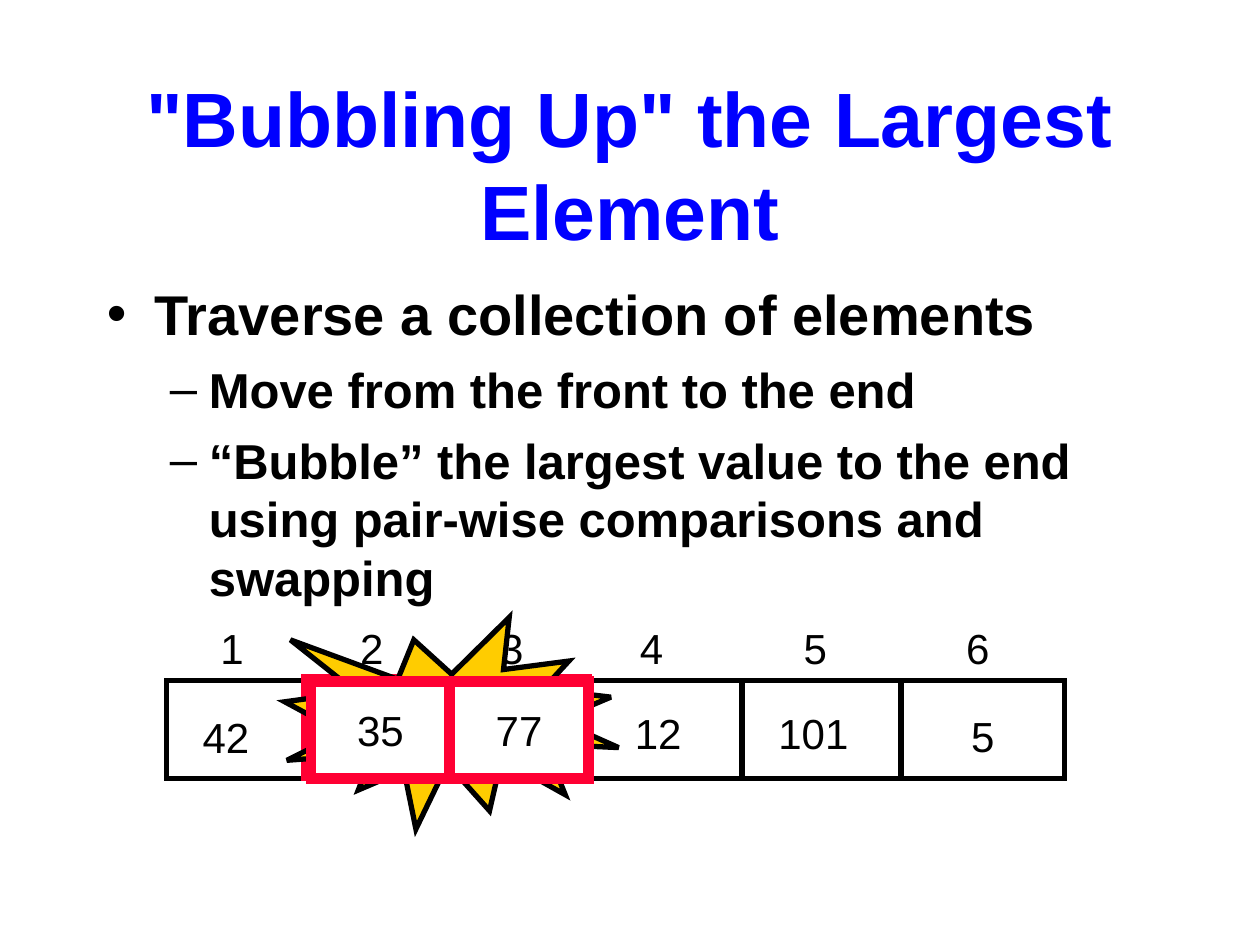
from typing import NamedTuple

from lxml import etree
from pptx import Presentation, util as u
from pptx.dml.color import RGBColor
from pptx.enum import shapes, text
from pptx.oxml import ns

# Grid of 100 columns by 75 rows on a 10 x 7.5 inch slide
UNIT = u.Inches(0.1)
BLACK, BLUE, RED, GOLD, WHITE = "000000", "0000FF", "FF0033", "FFCC00", "FFFFFF"
RECT = shapes.MSO_SHAPE.RECTANGLE


class Box(NamedTuple):
    x: float
    y: float
    w: float
    h: float


class Bullet(NamedTuple):
    words: str
    level: int
    mark: str
    margin: float
    hang: float
    before: int
    size: int


class Value(NamedTuple):
    words: str
    x: float
    y: float
    w: float


ARRAY = Box(13.2, 54, 71.3, 7.8)
DIVIDERS = (24.3, 35.4, 46.8, 58.9, 71.5)
INDEX_TABS = (11.1, 22.2, 33.3, 46.3, 59.2)
PAIR_W, PAIR_H = 11, 7.7
BULLETS = (
    Bullet("Traverse a collection of elements", 0, "•", 3.8, 3.8, 0, 32),
    Bullet("Move from the front to the end", 1, "–", 8.1, 3.1, 7, 28),
    Bullet("“Bubble” the largest value to the end using pair-wise "
           "comparisons and swapping", 1, "–", 8.1, 3.1, 7, 28),
)
VALUES = (
    Value("42", 15.1, 56, 5.7),
    Value("12", 49.4, 55.7, 5.7),
    Value("101", 60.8, 55.7, 7.6),
    Value("5", 76.1, 55.9, 3.9),
)


def grid(n: float) -> int:
    return round(n * UNIT)


def color(value: str) -> RGBColor:
    return RGBColor.from_string(value)


def sub(parent, tag: str, **attrs):
    return etree.SubElement(parent, ns.qn(tag), attrs)


def write(p, words: str, size: int = 24, ink: str = BLACK, bold: bool = False) -> None:
    r = p.add_run()
    r.text = words
    for name, value in dict(name="Arial", size=u.Pt(size), bold=bold).items():
        setattr(r.font, name, value)
    r.font.color.rgb = color(ink)


def add_text(parent, box: Box, wrap: bool = False):
    tf = parent.add_textbox(*map(grid, box)).text_frame
    tf.word_wrap = wrap
    return tf


def add_box(parent, kind, box: Box, line: str, width: float, fill: str = "",
            words: str = "") -> None:
    sp = parent.add_shape(kind, *map(grid, box))
    sp.shadow.inherit = False
    if fill:
        sp.fill.solid()
        sp.fill.fore_color.rgb = color(fill)
    else:
        sp.fill.background()
    sp.line.color.rgb = color(line)
    sp.line.width = u.Pt(width)
    sub(sp.line._get_or_add_ln(), "a:miter", lim="800000")
    if words:
        tf = sp.text_frame
        tf.word_wrap = False
        write(tf.paragraphs[0], words)


def add_divider(parent, x: float) -> None:
    line = parent.add_connector(shapes.MSO_CONNECTOR.STRAIGHT, grid(x), grid(ARRAY.y),
                                grid(x), grid(ARRAY.y + ARRAY.h))
    line.line.color.rgb = color(BLACK)
    line.line.width = u.Pt(3)
    sub(line._element.spPr, "a:effectLst")


def add_bullets(parent, box: Box) -> None:
    tf = add_text(parent, box, wrap=True)
    for i, b in enumerate(BULLETS):
        p = tf.add_paragraph() if i else tf.paragraphs[0]
        p.level = b.level
        p.space_before = u.Pt(b.before)
        pr = p._p.get_or_add_pPr()
        pr.set("marL", str(grid(b.margin)))
        pr.set("indent", str(-grid(b.hang)))
        sub(sub(pr, "a:buClr"), "a:srgbClr", val=BLACK)
        sub(pr, "a:buFont", typeface="Arial")
        sub(pr, "a:buChar", char=b.mark)
        write(p, b.words, b.size, bold=True)


def add_indices(parent, box: Box) -> None:
    p = add_text(parent, box).paragraphs[0]
    tabs = sub(p._p.get_or_add_pPr(), "a:tabLst")
    for stop in INDEX_TABS:
        sub(tabs, "a:tab", pos=str(grid(stop)), algn="l")
    write(p, "\t".join("123456"))


def set_title(title, box: Box, words: str) -> None:
    for name, value in zip(("left", "top", "width", "height"), box):
        setattr(title, name, grid(value))
    tf = title.text_frame
    for name, value in dict(word_wrap=True, auto_size=text.MSO_AUTO_SIZE.NONE,
                            vertical_anchor=text.MSO_ANCHOR.MIDDLE).items():
        setattr(tf, name, value)
    p = tf.paragraphs[0]
    p.alignment = text.PP_ALIGN.CENTER
    write(p, words, 44, BLUE, True)


def main() -> None:
    prs = Presentation()
    prs.slide_width, prs.slide_height = grid(100), grid(75)
    slide = prs.slides.add_slide(prs.slide_layouts[5])
    tree = slide.shapes

    set_title(tree.title, Box(7.5, 6.7, 85, 12.5), '"Bubbling Up" the Largest Element')
    add_bullets(tree, Box(7.5, 21.7, 85, 45))

    add_box(tree, RECT, ARRAY, BLACK, 3)
    for x in DIVIDERS:
        add_divider(tree, x)
    for v in VALUES:
        write(add_text(tree, Box(v.x, v.y, v.w, 5)).paragraphs[0], v.words)
    add_indices(tree, Box(16.5, 48.9, 63.2, 5))

    for x in (24.3, 35.6):
        add_box(tree, RECT, Box(x, 53.9, PAIR_W, PAIR_H), RED, 6)
    add_box(tree, shapes.MSO_SHAPE.EXPLOSION1, Box(22.6, 49, 26.5, 16.8), BLACK, 3, GOLD)
    swapped = tree.add_group_shape().shapes
    for i, words in enumerate(("35", "77")):
        add_box(swapped, RECT, Box(24.7 + i * PAIR_W, 54.1, PAIR_W, PAIR_H),
                RED, 6, WHITE, words)

    prs.save("out.pptx")


if __name__ == "__main__":
    main()
